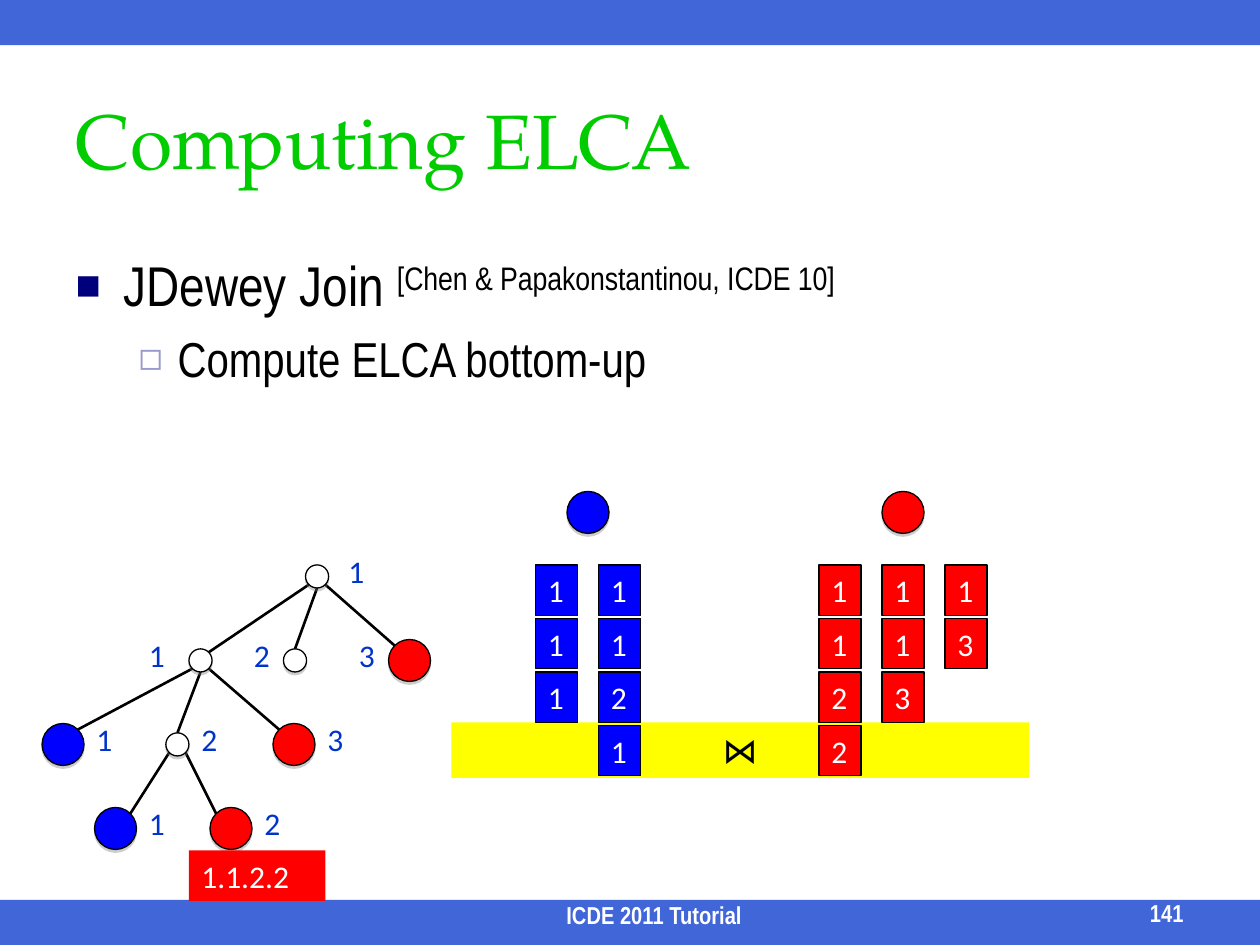
import lxml.etree
import pptx
import pptx.dml.color
import pptx.enum.shapes
import pptx.enum.text
import pptx.oxml.ns
import pptx.util

RGBColor = pptx.dml.color.RGBColor
Shape = pptx.enum.shapes.MSO_SHAPE
Align = pptx.enum.text.PP_ALIGN
Anchor = pptx.enum.text.MSO_ANCHOR
qn = pptx.oxml.ns.qn

BLACK = RGBColor(0x00, 0x00, 0x00)
WHITE = RGBColor(0xFF, 0xFF, 0xFF)
RED = RGBColor(0xFF, 0x00, 0x00)
BLUE = RGBColor(0x00, 0x00, 0xFF)
YELLOW = RGBColor(0xFF, 0xFF, 0x00)
GREEN = RGBColor(0x00, 0xCC, 0x00)
THEME_BLUE = RGBColor(0x00, 0x33, 0xCC)
TITLE_FONT, BODY_FONT, DIAGRAM_FONT = "TeX Gyre Pagella", "Arial Narrow", "Calibri"

# Content: all places are in a grid of 120 columns by 90 rows
TITLE = "Computing ELCA"
# runs (text, raised), level, size, bullet, bullet colour, bullet percent, margin, indent, space before
BULLETS = [
    ([("JDewey Join ", False), ("[Chen & Papakonstantinou, ICDE 10]", True)],
     0, 32, "■", "00007D", 75, 0.38, -0.38, 0),
    ([("Compute ELCA bottom-up", False)],
     1, 28, "◻", "9999CC", 80, 0.81, -0.31, 5.6),
]
# name: (centre column, level, fill, label, label column)
TREE_NODES = {
    "root": (30.2, 0, WHITE, "1", 32),
    "1.1": (19.1, 1, WHITE, "1", 13),
    "1.2": (28.1, 1, WHITE, "2", 23),
    "1.3": (39, 1, RED, "3", 33),
    "1.1.1": (6, 2, BLUE, "1", 8),
    "1.1.2": (16.9, 2, WHITE, "2", 18),
    "1.1.3": (28, 2, RED, "3", 30),
    "1.1.2.1": (11, 3, BLUE, "1", 13),
    "1.1.2.2": (22, 3, RED, "2", 24),
}
# parent, child, side of the parent: -1 left, 0 below, 1 right
TREE_EDGES = [
    ("root", "1.1", -1), ("root", "1.2", 0), ("root", "1.3", 1),
    ("1.1", "1.1.1", -1), ("1.1", "1.1.2", 0), ("1.1", "1.1.3", 1),
    ("1.1.2", "1.1.2.1", -1), ("1.1.2", "1.1.2.2", 1),
]
# fill, centre column of the heading circle, first column, Dewey codes
CODE_LISTS = [
    (BLUE, 56, 51, ["111", "1121"]),
    (RED, 86, 78, ["1122", "113", "13"]),
]
LEVEL_ROW, LEVEL_STEP = 54.9, 8
CODE_ROW, CODE_STEP, CODE_GAP = 53.8, 5.1, 6
CELL_WIDTH, CELL_HEIGHT = 4, 4.8
SMALL_RADIUS, LARGE_RADIUS = 1.1, 2

presentation = pptx.Presentation()
presentation.slide_width = pptx.util.Inches(10)
presentation.slide_height = pptx.util.Inches(7.5)
slide = presentation.slides.add_slide(presentation.slide_layouts[1])
COLUMN = presentation.slide_width / 120
ROW = presentation.slide_height / 90


def grid(*lengths):
    return [round(length * unit) for length, unit in zip(lengths, (COLUMN, ROW) * 2)]


def format_text(paragraph, font_name, size, color, bold=False, align=Align.LEFT):
    paragraph.alignment = align
    font = paragraph.font
    font.name, font.size, font.bold = font_name, pptx.util.Pt(size), bold
    font.color.rgb = color


def add_block(kind, place, fill, line=None):
    shape = slide.shapes.add_shape(kind, *grid(*place))
    shape.shadow.inherit = False
    shape.fill.solid()
    shape.fill.fore_color.rgb = fill
    if line is None:
        shape.line.fill.background()
    else:
        shape.line.color.rgb = line
        shape.line.width = pptx.util.Pt(0.75)
    return shape


def write(shape, text, anchor=Anchor.TOP, **style):
    frame = shape.text_frame
    frame.word_wrap = True
    frame.vertical_anchor = anchor
    frame.text = text
    format_text(frame.paragraphs[0], **style)


def add_label(text, place, anchor=Anchor.TOP, **style):
    write(slide.shapes.add_textbox(*grid(*place)), text, anchor, **style)


def add_circle(column, row, radius, fill):
    circle = add_block(Shape.OVAL, (column - radius, row - radius, 2 * radius, 2 * radius), fill, BLACK)
    effects = circle._element.spPr.find(qn("a:effectLst"))
    shadow = lxml.etree.SubElement(effects, qn("a:outerShdw"), dist="20320", dir="5400000", rotWithShape="0")
    color = lxml.etree.SubElement(shadow, qn("a:srgbClr"), val="808080")
    lxml.etree.SubElement(color, qn("a:alpha"), val="38000")


def node_place(name):
    column, level, fill = TREE_NODES[name][:3]
    radius = SMALL_RADIUS if fill == WHITE else LARGE_RADIUS
    return column, LEVEL_ROW + level * LEVEL_STEP, radius


# Top and bottom bars
for bar_row in (0, 85.7):
    bar = add_block(Shape.RECTANGLE, (0, bar_row, 120, 4.3), THEME_BLUE)
    bar_color = bar._element.spPr.find(qn("a:solidFill"))[0]
    lxml.etree.SubElement(bar_color, qn("a:alpha"), val="75000")

# Title and bullets
title, body = slide.shapes.title, slide.placeholders[1]
for placeholder, place in ((title, (6, 6, 108, 14.4)), (body, (6, 23.3, 108, 61.4))):
    placeholder.left, placeholder.top, placeholder.width, placeholder.height = grid(*place)
    placeholder.text_frame.auto_size = pptx.enum.text.MSO_AUTO_SIZE.NONE
write(title, TITLE, Anchor.MIDDLE, font_name=TITLE_FONT, size=44, color=GREEN)

for index, (runs, level, size, bullet, bullet_color, percent, margin, indent, space) in enumerate(BULLETS):
    frame = body.text_frame
    paragraph = frame.add_paragraph() if index else frame.paragraphs[0]
    paragraph.level = level
    properties = paragraph._p.get_or_add_pPr()
    properties.set("marL", str(pptx.util.Inches(margin)))
    properties.set("indent", str(pptx.util.Inches(indent)))
    color = lxml.etree.SubElement(properties, qn("a:buClr"))
    lxml.etree.SubElement(color, qn("a:srgbClr"), val=bullet_color)
    lxml.etree.SubElement(properties, qn("a:buSzPct"), val=str(percent * 1000))
    lxml.etree.SubElement(properties, qn("a:buChar"), char=bullet)
    paragraph.space_before = pptx.util.Pt(space)
    format_text(paragraph, BODY_FONT, size, BLACK)
    for text, raised in runs:
        run = paragraph.add_run()
        run.text = text
        if raised:
            run._r.get_or_add_rPr().set("baseline", "30000")

# Footer and slide number
footer_style = dict(font_name=BODY_FONT, size=14, color=WHITE, bold=True)
add_label("ICDE 2011 Tutorial", (27.8, 86.2, 69, 2.9), Anchor.BOTTOM, align=Align.CENTER, **footer_style)
add_label("141", (98.8, 86, 15.1, 2.9), Anchor.BOTTOM, align=Align.RIGHT, **footer_style)

# Tree edges, from circle rim to circle rim
for parent, child, side in TREE_EDGES:
    parent_column, parent_row, parent_radius = node_place(parent)
    child_column, child_row, child_radius = node_place(child)
    across, down = (side * 0.71, 0.71) if side else (0, 1)
    edge = slide.shapes.add_connector(
        pptx.enum.shapes.MSO_CONNECTOR.STRAIGHT,
        *grid(child_column - across * child_radius, child_row - down * child_radius,
              parent_column + across * parent_radius, parent_row + down * parent_radius))
    edge.line.color.rgb = BLACK
    edge.line.width = pptx.util.Pt(1.5)
    lxml.etree.SubElement(edge._element.spPr, qn("a:effectLst"))

# Tree nodes and their labels
for name, (column, level, fill, label, label_column) in TREE_NODES.items():
    add_circle(*node_place(name), fill)
    add_label(label, (label_column, 52 + level * LEVEL_STEP, CELL_WIDTH, CELL_HEIGHT),
              font_name=DIAGRAM_FONT, size=18, color=THEME_BLUE)
code_tag = add_block(Shape.RECTANGLE, (18, 81, 13, CELL_HEIGHT), RED)
write(code_tag, "1.1.2.2", font_name=DIAGRAM_FONT, size=18, color=WHITE)

# Join band and code lists
band = add_block(Shape.RECTANGLE, (43, 68.8, 55, 5.3), YELLOW)
write(band, "⋈", font_name=DIAGRAM_FONT, size=20, color=BLACK, align=Align.CENTER)
for fill, circle_column, first_column, codes in CODE_LISTS:
    add_circle(circle_column, 48.8, LARGE_RADIUS, fill)
    for position, code in enumerate(codes):
        for depth, digit in enumerate(code):
            cell = add_block(Shape.RECTANGLE,
                             (first_column + position * CODE_GAP, CODE_ROW + depth * CODE_STEP,
                              CELL_WIDTH, CELL_HEIGHT), fill, BLACK)
            write(cell, digit, font_name=DIAGRAM_FONT, size=18, color=WHITE)

presentation.save("out.pptx")
